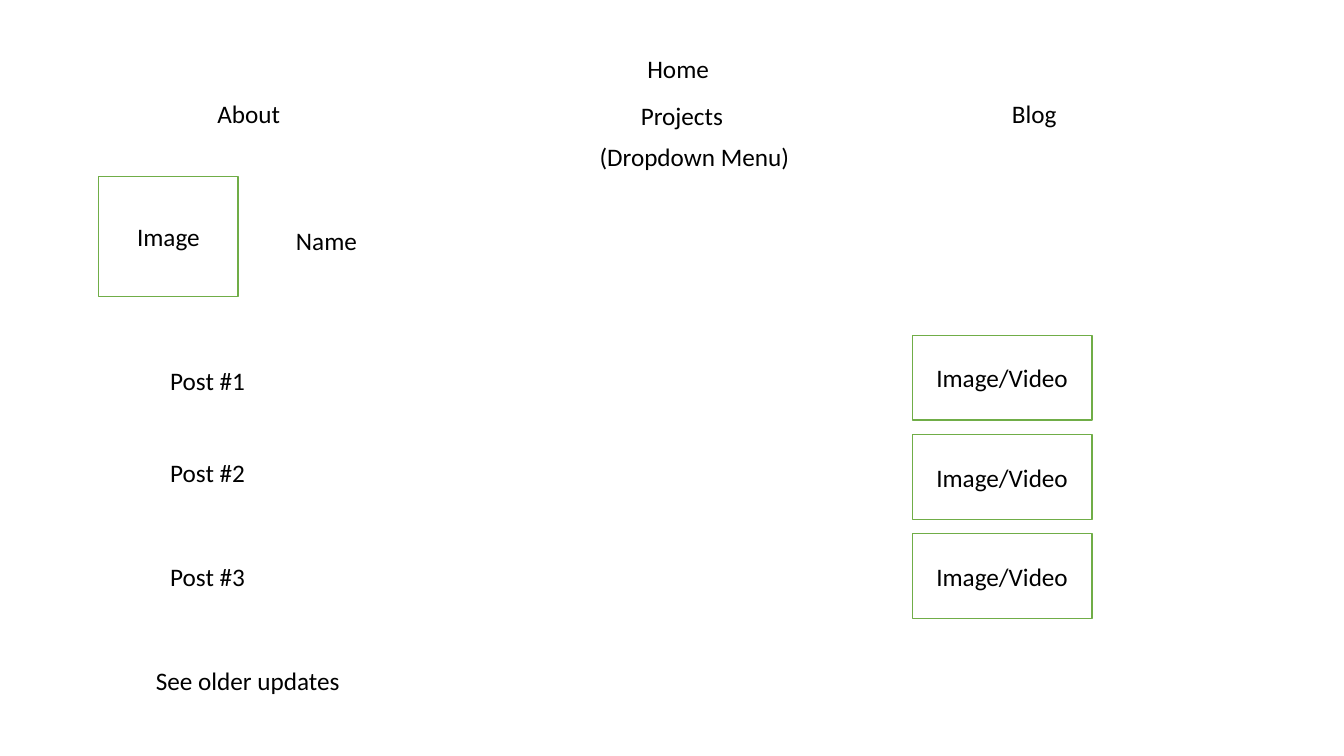
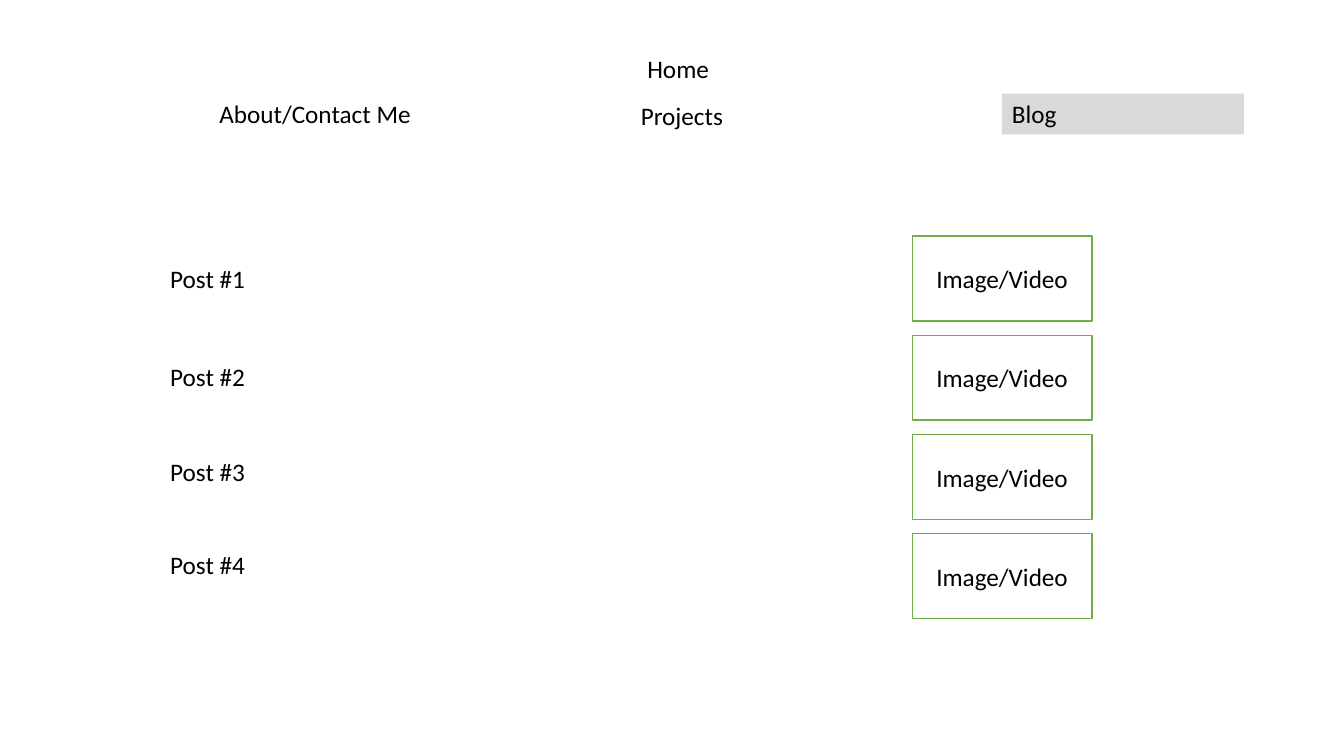
from dataclasses import dataclass
from pptx import Presentation
from pptx.dml.color import RGBColor
from pptx.enum import shapes, text
from pptx.util import Cm, Pt


@dataclass(frozen=True)
class Theme:
    font: str = "Calibri"
    size: int = 18
    ink: str = "000000"
    paper: str = "FFFFFF"
    outline: str = "70AD47"
    highlight: str = "D9D9D9"
    outline_width: int = 1


theme = Theme()
LINE_HEIGHT = 1.03
POST_LEFT, POST_WIDTH = 4.04, 6.32
MEDIA_LEFT, MEDIA_WIDTH, MEDIA_HEIGHT = 22.99, 4.53, 2.14
MEDIA_BOTTOM_TOP, MEDIA_PITCH = 13.45, 2.5
TITLE = ("Home", 10.36, 1.22, 13.46)
PROJECTS = ("Projects", 15.9, 2.41, 4.52)
BLOG = ("Blog", 25.25, 2.36, 6.1)

PAGES = [
    {
        "labels": [
            ("About", 5.23, 2.36, 5.79),
            PROJECTS,
            BLOG,
            ("(Dropdown Menu)", 14.86, 3.43, 5.59),
            ("Name", 7.21, 5.56, 7.42),
            ("See older updates", 3.68, 16.64, 5.44),
        ],
        "active": None,
        "frames": [("Image", 2.49, 4.45, 3.51, 3.02)],
        "post_tops": [9.07, 11.4, 14.02],
    },
    {
        "labels": [("About/Contact Me", 5.28, 2.36, 5.79), PROJECTS, BLOG],
        "active": "Blog",
        "frames": [],
        "post_tops": [6.5, 8.99, 11.38, 13.72],
    },
]


def color(code):
    return RGBColor.from_string(code)


def place(box, left, top, width, height):
    box.left, box.top, box.width, box.height = map(Cm, (left, top, width, height))


def write(box, words, align, anchor):
    frame = box.text_frame
    frame.word_wrap = True
    frame.auto_size = text.MSO_AUTO_SIZE.NONE
    frame.vertical_anchor = anchor
    para = frame.paragraphs[0]
    para.alignment = align
    span = para.add_run()
    span.text = words
    span.font.name = theme.font
    span.font.size = Pt(theme.size)
    span.font.color.rgb = color(theme.ink)


def add_title(page, words, left, top, width):
    box = page.shapes.title
    place(box, left, top, width, LINE_HEIGHT)
    write(box, words, text.PP_ALIGN.CENTER, text.MSO_ANCHOR.TOP)


def add_label(page, words, left, top, width, active=False):
    area = map(Cm, (left, top, width, LINE_HEIGHT))
    if active:
        box = page.shapes.add_shape(shapes.MSO_SHAPE.RECTANGLE, *area)
        box.shadow.inherit = False
        box.fill.solid()
        box.fill.fore_color.rgb = color(theme.highlight)
        box.line.fill.background()
    else:
        box = page.shapes.add_textbox(*area)
    write(box, words, text.PP_ALIGN.LEFT, text.MSO_ANCHOR.TOP)


def add_frame(page, words, left, top, width, height):
    area = map(Cm, (left, top, width, height))
    box = page.shapes.add_shape(shapes.MSO_SHAPE.RECTANGLE, *area)
    box.shadow.inherit = False
    box.fill.solid()
    box.fill.fore_color.rgb = color(theme.paper)
    box.line.color.rgb = color(theme.outline)
    box.line.width = Pt(theme.outline_width)
    write(box, words, text.PP_ALIGN.CENTER, text.MSO_ANCHOR.MIDDLE)


def add_posts(page, tops):
    first_media = MEDIA_BOTTOM_TOP - MEDIA_PITCH * (len(tops) - 1)
    for index, top in enumerate(tops):
        add_label(page, f"Post #{index + 1}", POST_LEFT, top, POST_WIDTH)
        add_frame(page, "Image/Video", MEDIA_LEFT, first_media + index * MEDIA_PITCH,
                  MEDIA_WIDTH, MEDIA_HEIGHT)


deck = Presentation()
deck.slide_width, deck.slide_height = Cm(33.87), Cm(19.05)
title_only = deck.slide_layouts.get_by_name("Title Only")

for content in PAGES:
    page = deck.slides.add_slide(title_only)
    add_title(page, *TITLE)
    for label in content["labels"]:
        add_label(page, *label, active=label[0] == content["active"])
    for frame in content["frames"]:
        add_frame(page, *frame)
    add_posts(page, content["post_tops"])

deck.save("out.pptx")
